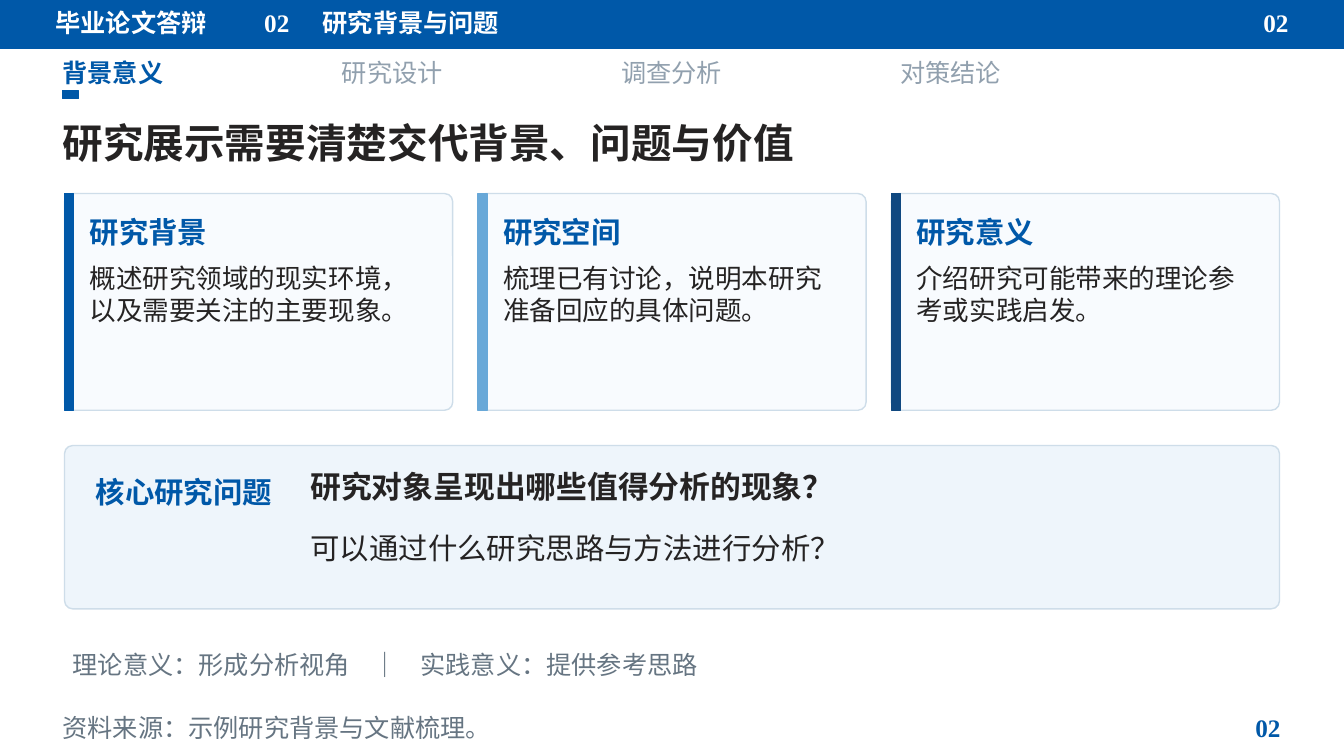
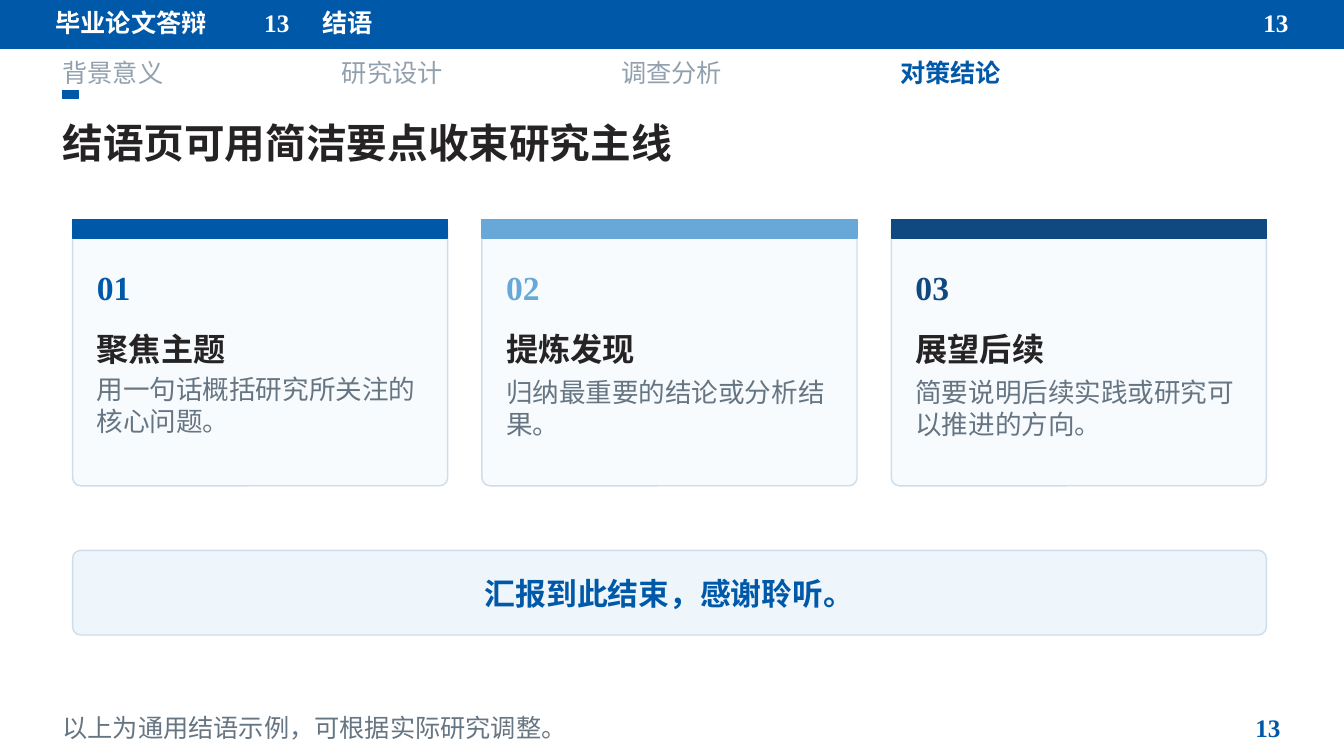
from dataclasses import dataclass

from lxml import etree
from pptx import Presentation
from pptx.dml.color import RGBColor
from pptx.enum.shapes import MSO_SHAPE
from pptx.enum.text import MSO_ANCHOR, PP_ALIGN
from pptx.oxml.ns import qn
from pptx.slide import Slide
from pptx.text.text import _Paragraph
from pptx.util import Emu, Pt

RECT, ROUND = MSO_SHAPE.RECTANGLE, MSO_SHAPE.ROUNDED_RECTANGLE
LEFT, CENTER, RIGHT = PP_ALIGN.LEFT, PP_ALIGN.CENTER, PP_ALIGN.RIGHT
TOP, MIDDLE = MSO_ANCHOR.TOP, MSO_ANCHOR.MIDDLE

EMU_PER_PX = 9144  # 100 px to the inch
SLIDE_W, SLIDE_H = 1333, 750
CORNER = 8
TABS = ("背景意义", "研究设计", "调查分析", "对策结论")


@dataclass(frozen=True)
class Theme:
    head_font: str = "Noto Sans CJK JP"
    body_font: str = "Noto Sans CJK SC"
    number_font: str = "Times New Roman"
    blue: str = "0058A8"
    sky: str = "68A8D8"
    navy: str = "104880"
    ink: str = "252323"
    grey: str = "667582"
    pale_grey: str = "91A0AE"
    white: str = "FFFFFF"
    card: str = "F8FBFE"
    panel: str = "EEF5FB"
    border: str = "CEDDE9"
    title: int = 29
    number: int = 24
    card_title: int = 23
    lead: int = 22
    heading: int = 21
    body: int = 19
    small: int = 18


T = Theme()
ACCENTS = (T.blue, T.sky, T.navy)


@dataclass(frozen=True)
class Box:
    x: int
    y: int
    w: int
    h: int


@dataclass(frozen=True)
class Style:
    size: int
    color: str
    font: str = T.body_font
    bold: bool = False
    align: PP_ALIGN = LEFT
    anchor: MSO_ANCHOR = MIDDLE


@dataclass(frozen=True)
class Page:
    number: str
    section: str
    active_tab: str
    title: str
    footnote: str


@dataclass(frozen=True)
class Card:
    title: str
    body: str
    body_y: int


def px(n: int) -> Emu:
    return Emu(n * EMU_PER_PX)


def head(size: int, color: str, align: PP_ALIGN = LEFT) -> Style:
    return Style(size, color, T.head_font, True, align)


def numeral(size: int, color: str, align: PP_ALIGN = LEFT) -> Style:
    return Style(size, color, T.number_font, True, align)


def add_box(s: Slide, box: Box, fill: str, line: str, kind: MSO_SHAPE = RECT) -> None:
    sp = s.shapes.add_shape(kind, px(box.x), px(box.y), px(box.w), px(box.h))
    sp.shadow.inherit = False
    sp.fill.solid()
    sp.fill.fore_color.rgb = RGBColor.from_string(fill)
    sp.line.color.rgb = RGBColor.from_string(line)
    sp.line.width = Pt(1)
    if kind == ROUND:
        sp.adjustments[0] = CORNER / min(box.w, box.h)


def add_text(s: Slide, box: Box, text: str, style: Style) -> _Paragraph:
    sp = s.shapes.add_textbox(px(box.x), px(box.y), px(box.w), px(box.h))
    tf = sp.text_frame
    tf.word_wrap = True
    tf.vertical_anchor = style.anchor
    tf.margin_left = tf.margin_right = tf.margin_top = tf.margin_bottom = 0
    p = tf.paragraphs[0]
    p.alignment = style.align
    r = p.add_run()
    r.text = text
    r.font.name = style.font
    r.font.size = Pt(style.size)
    r.font.bold = style.bold
    r.font.color.rgb = RGBColor.from_string(style.color)
    etree.SubElement(r._r.get_or_add_rPr(), qn("a:ea"), typeface=style.font)
    return p


def set_tab_stops(p: _Paragraph, stops: tuple[int, ...]) -> None:
    tab_list = etree.SubElement(p._p.get_or_add_pPr(), qn("a:tabLst"))
    for stop in stops:
        etree.SubElement(tab_list, qn("a:tab"), pos=str(px(stop)), algn="l")


def add_page(prs: Presentation, page: Page) -> Slide:
    """Add a slide with the header band, tabs, title and footer."""
    s = prs.slides.add_slide(prs.slide_layouts[6])
    add_box(s, Box(0, 0, SLIDE_W, 48), T.blue, T.blue)
    add_text(s, Box(55, 7, 205, 30), "毕业论文答辩", head(T.small, T.white))
    add_text(s, Box(262, 7, 55, 30), page.number, numeral(T.small, T.white))
    add_text(s, Box(320, 7, 555, 30), page.section, head(T.small, T.white))
    add_text(s, Box(1223, 7, 55, 30), page.number, numeral(T.small, T.white, RIGHT))
    for i, tab in enumerate(TABS):
        active = tab == page.active_tab
        style = Style(T.small, T.blue if active else T.pale_grey, T.head_font, active)
        add_text(s, Box(62 + 277 * i, 57, 215, 29), tab, style)
    add_box(s, Box(62, 90, 16, 8), T.blue, T.blue)
    add_text(s, Box(62, 105, 1210, 72), page.title, head(T.title, T.ink))
    add_text(s, Box(62, 708, 1110, 28), page.footnote, Style(T.small, T.grey))
    add_text(s, Box(1215, 708, 55, 28), page.number, numeral(T.small, T.blue, RIGHT))
    return s


def add_background_card(s: Slide, x: int, accent: str, card: Card) -> None:
    add_box(s, Box(x, 192, 385, 215), T.card, T.border, ROUND)
    add_box(s, Box(x, 192, 9, 215), accent, accent)
    add_text(s, Box(x + 25, 210, 337, 40), card.title, head(T.heading, T.blue))
    add_text(s, Box(x + 25, card.body_y, 337, 131), card.body,
             Style(T.body, T.ink, anchor=TOP))


def add_closing_card(s: Slide, x: int, accent: str, number: int, card: Card) -> None:
    add_box(s, Box(x, 218, 372, 264), T.card, T.border, ROUND)
    add_box(s, Box(x, 218, 372, 18), accent, accent)
    add_text(s, Box(x + 24, 262, 75, 46), f"{number:02d}", numeral(T.number, accent))
    add_text(s, Box(x + 24, 322, 318, 48), card.title, head(T.card_title, T.ink))
    add_text(s, Box(x + 24, card.body_y, 320, 72), card.body,
             Style(T.body, T.grey, anchor=TOP))


def build_background(prs: Presentation) -> None:
    s = add_page(prs, Page("02", "研究背景与问题", "背景意义",
                           "研究展示需要清楚交代背景、问题与价值",
                           "资料来源：示例研究背景与文献梳理。"))
    cards = (
        Card("研究背景", "概述研究领域的现实环境，以及需要关注的主要现象。", 260),
        Card("研究空间", "梳理已有讨论，说明本研究准备回应的具体问题。", 260),
        Card("研究意义", "介绍研究可能带来的理论参考或实践启发。", 260),
    )
    for i, (accent, card) in enumerate(zip(ACCENTS, cards)):
        add_background_card(s, 64 + 410 * i, accent, card)
    add_box(s, Box(64, 442, 1205, 162), T.panel, T.border, ROUND)
    add_text(s, Box(95, 468, 205, 40), "核心研究问题", head(T.heading, T.blue))
    add_text(s, Box(308, 458, 914, 49), "研究对象呈现出哪些值得分析的现象？",
             Style(T.lead, T.ink, bold=True))
    add_text(s, Box(308, 520, 914, 46), "可以通过什么研究思路与方法进行分析？",
             Style(T.heading, T.ink))
    p = add_text(s, Box(72, 640, 1185, 38),
                 "理论意义：形成分析视角\t｜\t实践意义：提供参考思路",
                 Style(T.small, T.grey))
    set_tab_stops(p, (297, 345))


def build_closing(prs: Presentation) -> None:
    s = add_page(prs, Page("13", "结语", "对策结论",
                           "结语页可用简洁要点收束研究主线",
                           "以上为通用结语示例，可根据实际研究调整。"))
    cards = (
        Card("聚焦主题", "用一句话概括研究所关注的核心问题。", 370),
        Card("提炼发现", "归纳最重要的结论或分析结果。", 373),
        Card("展望后续", "简要说明后续实践或研究可以推进的方向。", 373),
    )
    for i, (accent, card) in enumerate(zip(ACCENTS, cards)):
        add_closing_card(s, 72 + 406 * i, accent, i + 1, card)
    add_box(s, Box(72, 546, 1184, 84), T.panel, T.border, ROUND)
    add_text(s, Box(100, 569, 1128, 38), "汇报到此结束，感谢聆听。",
             head(T.lead, T.blue, CENTER))


def main() -> None:
    prs = Presentation()
    prs.slide_width, prs.slide_height = px(SLIDE_W), px(SLIDE_H)
    build_background(prs)
    build_closing(prs)
    prs.save("out.pptx")


if __name__ == "__main__":
    main()
